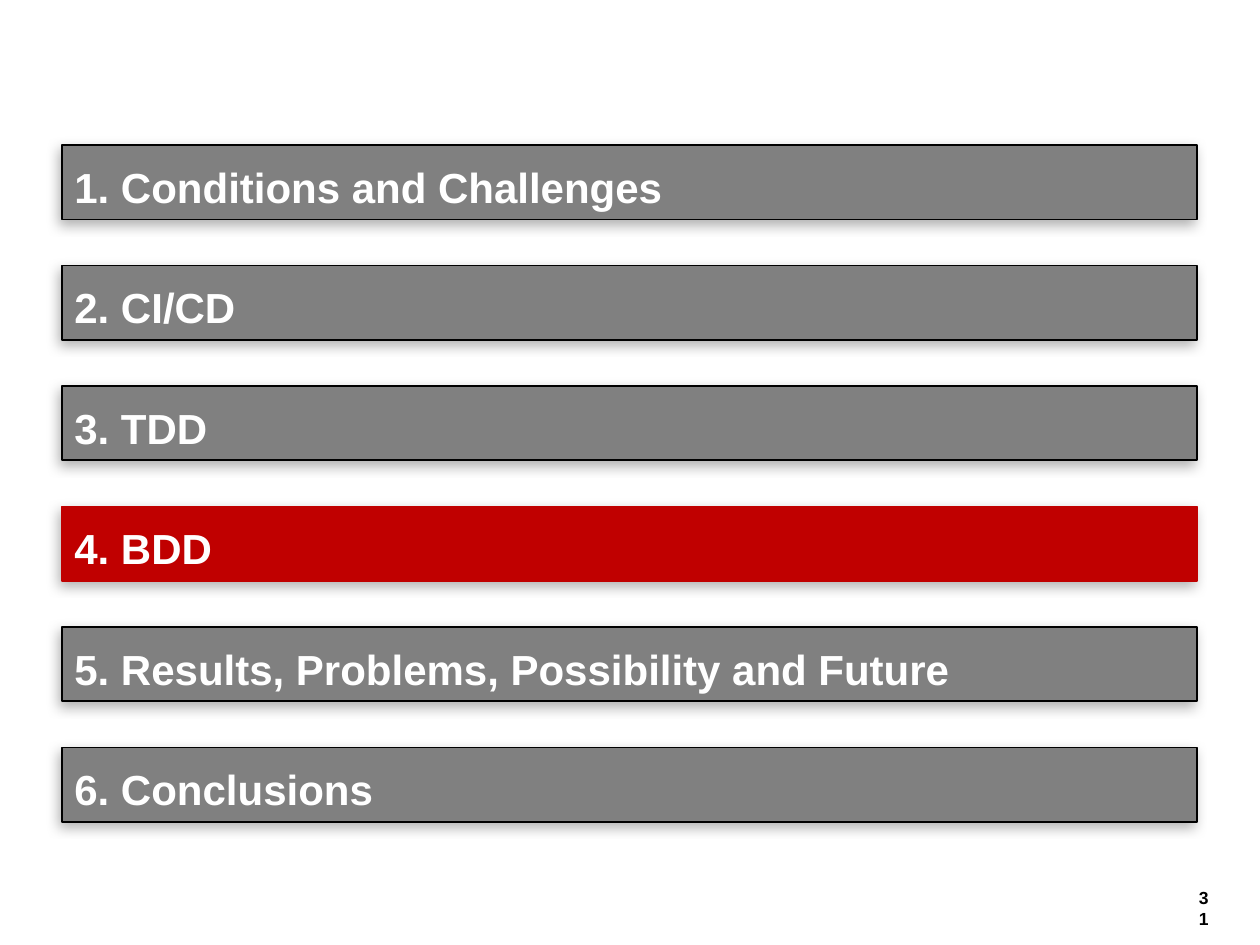
from dataclasses import dataclass

from lxml.etree import SubElement
from pptx import Presentation
from pptx.dml.color import RGBColor
from pptx.enum.shapes import MSO_SHAPE
from pptx.enum.text import MSO_ANCHOR, PP_ALIGN
from pptx.oxml.ns import qn
from pptx.util import Pt


@dataclass(frozen=True)
class Theme:
    font: str = "Arial"
    bar: RGBColor = RGBColor(0x80, 0x80, 0x80)
    active: RGBColor = RGBColor(0xC0, 0x00, 0x00)
    dark: RGBColor = RGBColor(0x00, 0x00, 0x00)
    light: RGBColor = RGBColor(0xFF, 0xFF, 0xFF)
    bar_size: float = 24
    number_size: float = 10


@dataclass(frozen=True)
class AgendaItem:
    text: str
    active: bool = False


THEME = Theme()
AGENDA = [
    AgendaItem("Conditions and Challenges"),
    AgendaItem("CI/CD"),
    AgendaItem("TDD"),
    AgendaItem("BDD", active=True),
    AgendaItem("Results, Problems, Possibility and Future"),
    AgendaItem("Conclusions"),
]
BAR_LEFT, BAR_TOP, BAR_WIDTH, BAR_HEIGHT = 35.4, 82.9, 648.6, 42.5
BAR_PITCH = 68.85


def add_run(p, text: str, size: float, color: RGBColor) -> None:
    r = p.add_run()
    r.text = text
    r.font.name = THEME.font
    r.font.size = Pt(size)
    r.font.bold = True
    r.font.color.rgb = color


def add_shadow(sp) -> None:
    """Give the shape a soft black shadow falling to the lower left."""
    sp.shadow.inherit = False
    effects = sp._element.spPr.find(qn("a:effectLst"))
    shadow = SubElement(effects, qn("a:outerShdw"), blurRad=str(Pt(7)),
                        dist=str(Pt(3)), dir=str(135 * 60000),
                        algn="tr", rotWithShape="0")
    color = SubElement(shadow, qn("a:srgbClr"), val=str(THEME.dark))
    SubElement(color, qn("a:alpha"), val="30000")


def add_bar(s, index: int, item: AgendaItem) -> None:
    sp = s.shapes.add_shape(
        MSO_SHAPE.RECTANGLE, Pt(BAR_LEFT), Pt(BAR_TOP + index * BAR_PITCH),
        Pt(BAR_WIDTH), Pt(BAR_HEIGHT))
    sp.fill.solid()
    sp.fill.fore_color.rgb = THEME.active if item.active else THEME.bar
    sp.line.color.rgb = THEME.active if item.active else THEME.dark
    sp.line.width = Pt(1)
    add_shadow(sp)

    tf = sp.text_frame
    tf.word_wrap = True
    tf.vertical_anchor = MSO_ANCHOR.MIDDLE
    tf.margin_top = Pt(8.4)
    p = tf.paragraphs[0]
    p.alignment = PP_ALIGN.LEFT
    add_run(p, f"{index + 1}. {item.text}", THEME.bar_size, THEME.light)


def add_page_number(s, number: int) -> None:
    tf = s.shapes.add_textbox(Pt(677.5), Pt(503.3), Pt(20.2), Pt(19.4)).text_frame
    tf.word_wrap = True
    p = tf.paragraphs[0]
    p.alignment = PP_ALIGN.RIGHT
    add_run(p, str(number), THEME.number_size, THEME.dark)


def main() -> None:
    prs = Presentation()
    prs.slide_width, prs.slide_height = Pt(720), Pt(540)
    s = prs.slides.add_slide(prs.slide_layouts[6])
    add_page_number(s, 31)
    for index, item in enumerate(AGENDA):
        add_bar(s, index, item)
    prs.save("out.pptx")


if __name__ == "__main__":
    main()
